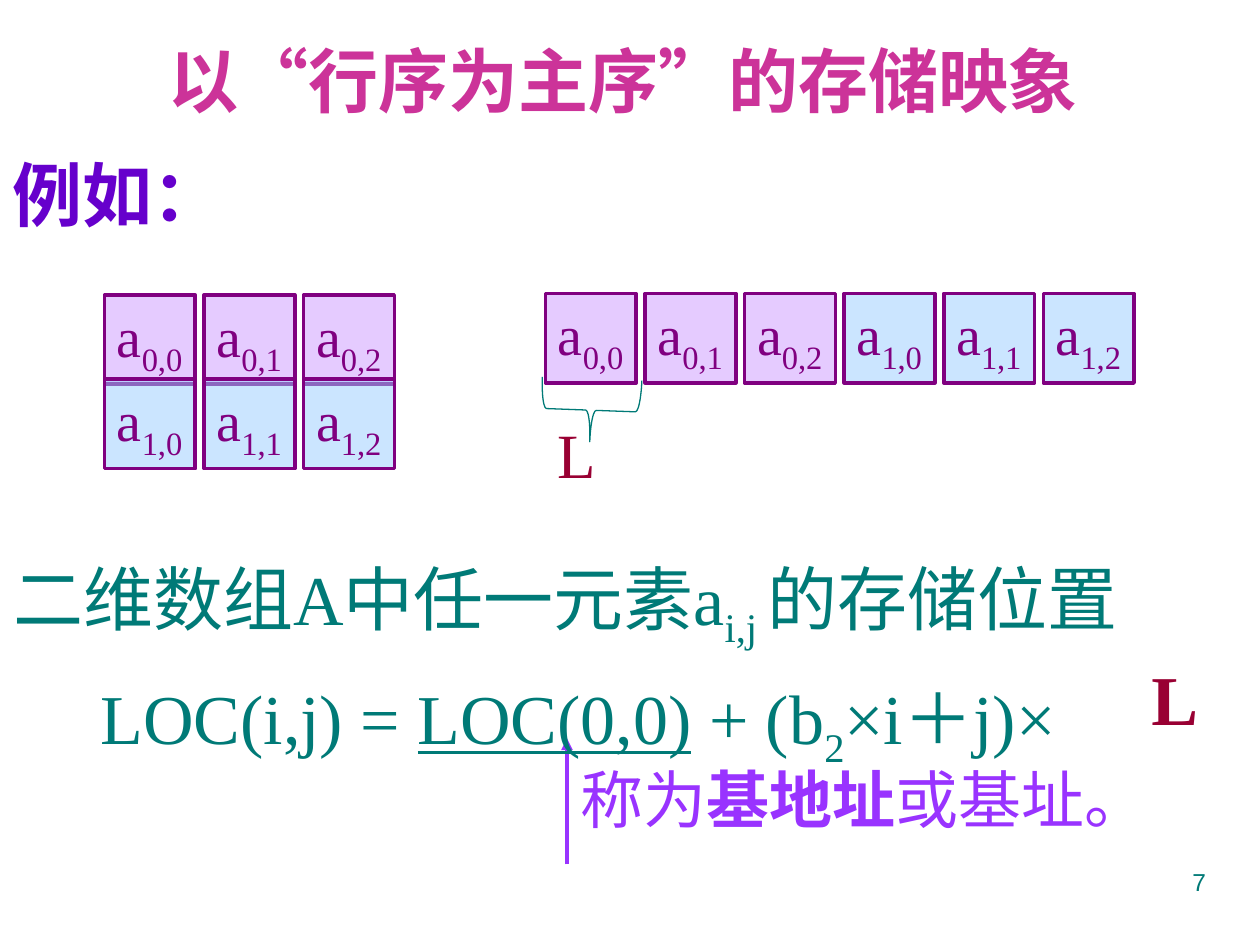
"""Build the slide on row-major storage of a two-dimensional array."""
import pptx
import pptx.util
import pptx.dml.color
import pptx.enum.shapes
import pptx.enum.text
import lxml.etree

Inches, Pt = pptx.util.Inches, pptx.util.Pt
SHAPE = pptx.enum.shapes.MSO_SHAPE
ALIGN = pptx.enum.text.PP_ALIGN
NS = "{http://schemas.openxmlformats.org/drawingml/2006/main}"

HUES = {"pink": "CC3399", "indigo": "6600CC", "teal": "007A77", "violet": "9933FF",
        "plum": "800080", "red": "990033", "lilac": "CC99FF", "sky": "99CCFF"}
ROWS = ["lilac", "sky"]
COLS = 3
WIDE, HIGH = 0.72, 0.71
STEP, DROP = 0.79, 0.67
GRID, STORE = (0.83, 2.34), (4.33, 2.33)

TITLE = [("以“行序为主序”的存储映象", "b")]
# Each label: place, size, colour, wrap, paragraphs of (text, style) runs
LABELS = [
    ((0, 1.15, 2.7, 0.77), 40, "indigo", False, [[("例如：", "b")]]),
    ((4.51, 5.99, 4.7, 0.7), 36, "violet", False,
     [[("称为", ""), ("基地址", "b"), ("或基址。", "")]]),
    ((4.33, 3.25, 0.64, 0.7), 36, "red", True, [[("L", "")]]),
    ((9.04, 5.15, 0.7, 0.77), 40, "red", False, [[("L", "b")]]),
]
RULE = [
    [("二维数组A中任一元素a", ""), ("i,j ", "sub"), ("的存储位置", "")],
    [("LOC(i,j) = ", ""), ("LOC(0,0)", "u"), (" + (b", ""), ("2", "sub"),
     ("×i＋j)×", "")],
]


def tint(name):
    return pptx.dml.color.RGBColor.from_string(HUES[name])


def write(frame, paras, size, hue, wrap=False, face="Times New Roman"):
    frame.word_wrap = wrap
    frame.auto_size = pptx.enum.text.MSO_AUTO_SIZE.NONE
    frame.vertical_anchor = pptx.enum.text.MSO_ANCHOR.TOP
    for i, runs in enumerate(paras):
        para = frame.add_paragraph() if i else frame.paragraphs[0]
        para.alignment = ALIGN.LEFT
        for text, style in runs:
            run = para.add_run()
            run.text = text
            font = run.font
            font.name, font.size = face, Pt(size)
            font.color.rgb = tint(hue)
            font.bold = style == "b"
            if style == "u":
                font.underline = True
            if style == "sub":
                run._r.get_or_add_rPr().set("baseline", "-25000")


def label(slide, place, size, hue, wrap, paras, face="Times New Roman"):
    box = slide.shapes.add_textbox(*map(Inches, place))
    write(box.text_frame, paras, size, hue, wrap, face)
    return box.text_frame


def cell(slide, left, top, row, col):
    box = slide.shapes.add_shape(SHAPE.RECTANGLE, *map(Inches, (left, top, WIDE, HIGH)))
    box.shadow.inherit = False
    box.fill.solid()
    box.fill.fore_color.rgb = tint(ROWS[row])
    shade = box._element.spPr.find(f"{NS}solidFill/{NS}srgbClr")
    lxml.etree.SubElement(shade, NS + "alpha", val="50000")
    box.line.color.rgb = tint("plum")
    box.line.width = Pt(2)
    write(box.text_frame, [[("a", ""), (f"{row},{col}", "sub")]], 32, "plum")


def main():
    deck = pptx.Presentation()
    deck.slide_width, deck.slide_height = Inches(10), Inches(7.5)
    slide = deck.slides.add_slide(deck.slide_layouts[5])

    title = slide.shapes.title
    title.left, title.top, title.width, title.height = map(Inches, (1.24, 0.25, 7.46, 0.77))
    write(title.text_frame, [TITLE], 40, "pink", True)

    arrow = slide.shapes.add_connector(
        pptx.enum.shapes.MSO_CONNECTOR.STRAIGHT, *map(Inches, (4.5, 6.86, 4.5, 5.86)))
    arrow.line.color.rgb = tint("violet")
    arrow.line.width = Pt(2.25)
    lxml.etree.SubElement(arrow.line._get_or_add_ln(), NS + "tailEnd", type="triangle")
    lxml.etree.SubElement(arrow._element.spPr, NS + "effectLst")

    rule = label(slide, (0.01, 4.17, 9.55, 2), 40, "teal", False, RULE)
    for para in rule.paragraphs:
        para.line_spacing = 1.25
    rule.paragraphs[1]._p.get_or_add_pPr().set("marL", str(Inches(0.69)))

    for row in range(len(ROWS)):
        for col in range(COLS):
            cell(slide, GRID[0] + col * STEP, GRID[1] + row * DROP, row, col)
            cell(slide, STORE[0] + (row * COLS + col) * STEP, STORE[1], row, col)

    brace = slide.shapes.add_shape(SHAPE.LEFT_BRACE, *map(Inches, (4.44, 2.86, 0.5, 0.79)))
    brace.rotation = 272.1
    brace.shadow.inherit = False
    brace.fill.background()
    brace.line.color.rgb = tint("teal")
    brace.line.width = Pt(0.75)

    for item in LABELS:
        label(slide, *item)
    page = label(slide, (7.17, 6.83, 2.5, 0.52), 14, "teal", True, [[("7", "")]], "Arial")
    page.paragraphs[0].alignment = ALIGN.RIGHT

    deck.save("out.pptx")


if __name__ == "__main__":
    main()
